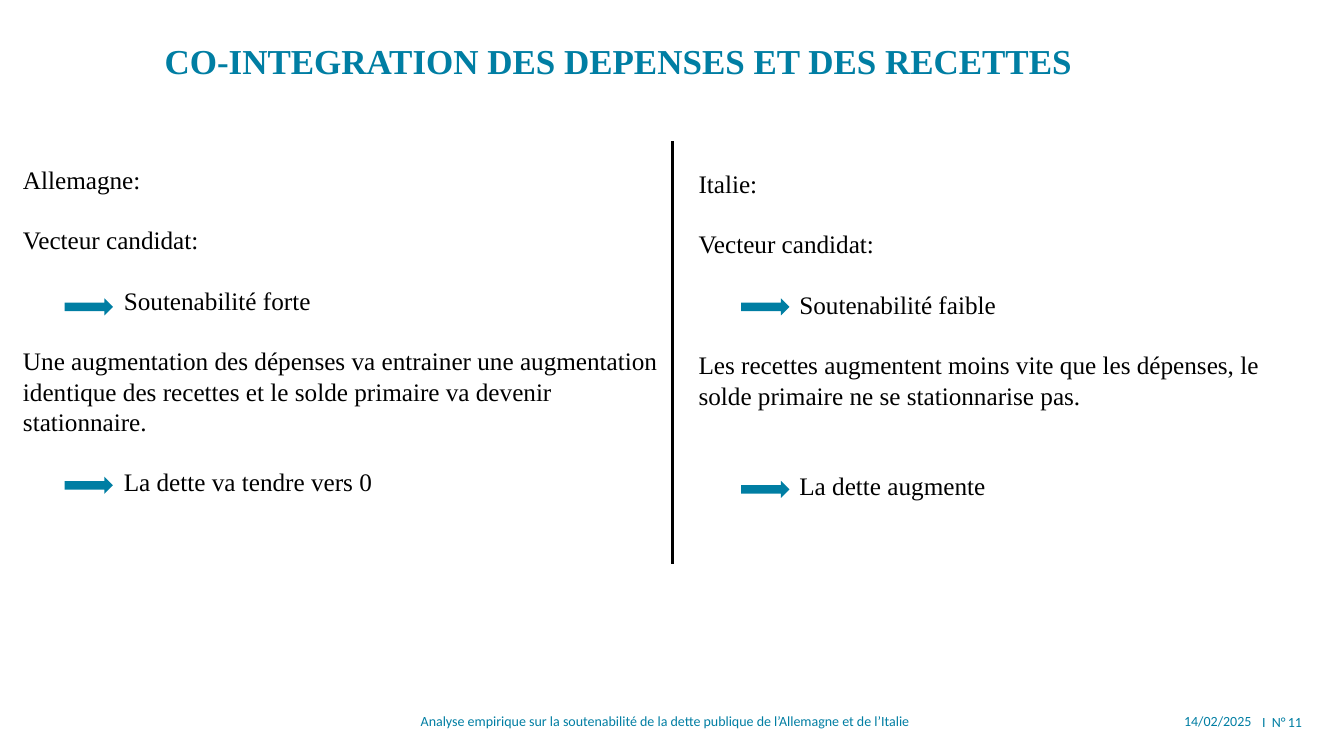
import dataclasses
import typing

import lxml.etree
import pptx
import pptx.dml.color
import pptx.enum.shapes
import pptx.enum.text
import pptx.oxml.ns
import pptx.util

Inches, Pt = pptx.util.Inches, pptx.util.Pt
RGBColor = pptx.dml.color.RGBColor
Align, Anchor = pptx.enum.text.PP_ALIGN, pptx.enum.text.MSO_ANCHOR


@dataclasses.dataclass(frozen=True)
class Theme:
    teal: RGBColor = RGBColor(0x00, 0x7E, 0xA3)
    black: RGBColor = RGBColor(0, 0, 0)
    serif: str = "Times New Roman"
    sans: str = "Calibri"
    title: Pt = Pt(25)
    body: Pt = Pt(18)
    footer: Pt = Pt(10)
    body_line: float = 21.6  # height of one empty body line, in points


THEME = Theme()
TITLE_FONT = {"name": THEME.serif, "size": THEME.title, "bold": True}
BODY_FONT = {"name": THEME.serif, "size": THEME.body}
FOOTER_FONT = {"name": THEME.sans, "size": THEME.footer}


class Box(typing.NamedTuple):
    left: float
    top: float
    width: float
    height: float


class Line(typing.NamedTuple):
    text: str
    gap: int = 1  # empty lines above
    indent: float = 0  # inches


@dataclasses.dataclass(frozen=True)
class Country:
    box: Box
    lines: list[Line]
    arrow_left: float
    arrow_tops: tuple[float, float]


@dataclasses.dataclass(frozen=True)
class FooterItem:
    text: str
    box: Box
    align: Align = Align.RIGHT
    anchor: Anchor = Anchor.MIDDLE


COUNTRIES = [
    Country(Box(0.13, 1.58, 6.54, 3.43), [
        Line("Allemagne:", 0),
        Line("Vecteur candidat:"),
        Line("Soutenabilité forte", indent=1),
        Line("Une augmentation des dépenses va entrainer une augmentation"),
        Line("identique des recettes et le solde primaire va devenir stationnaire.", 0),
        Line("La dette va tendre vers 0", indent=1),
    ], 0.64, (2.96, 4.73)),
    Country(Box(6.83, 1.62, 6.29, 3.43), [
        Line("Italie:", 0),
        Line("Vecteur candidat:"),
        Line("Soutenabilité faible", indent=1),
        Line("Les recettes augmentent moins vite que les dépenses, "
             "le solde primaire ne se stationnarise pas."),
        Line("La dette augmente", 2, indent=1),
    ], 7.35, (2.96, 4.77)),
]

FOOTER = [
    FooterItem("I  N°", Box(12.42, 7.03, 0.59, 0.27), Align.LEFT, Anchor.TOP),
    FooterItem("14/02/2025", Box(11.48, 6.95, 1.03, 0.4)),
    FooterItem("11", Box(12.42, 6.96, 0.59, 0.4)),
    FooterItem("Analyse empirique sur la soutenabilité de la dette publique "
               "de l’Allemagne et de l’Italie",
               Box(3.18, 6.95, 6.83, 0.4), Align.CENTER),
]


def add_text(slide, box: Box, lines: list[Line], font: dict, color: RGBColor,
             align: Align = Align.LEFT, anchor: Anchor = Anchor.TOP,
             spacing: float = 1.0) -> None:
    tf = slide.shapes.add_textbox(*map(Inches, box)).text_frame
    tf.word_wrap = True
    tf.vertical_anchor = anchor
    for i, line in enumerate(lines):
        p = tf.add_paragraph() if i else tf.paragraphs[0]
        layout = {"alignment": align, "line_spacing": spacing,
                  "space_before": Pt(line.gap * THEME.body_line)}
        for name, value in layout.items():
            setattr(p, name, value)
        if line.indent:
            p._p.get_or_add_pPr().set("marL", str(Inches(line.indent)))
        r = p.add_run()
        r.text = line.text
        for name, value in font.items():
            setattr(r.font, name, value)
        r.font.color.rgb = color


def add_arrow(slide, left: float, top: float) -> None:
    sp = slide.shapes.add_shape(pptx.enum.shapes.MSO_SHAPE.RIGHT_ARROW,
                                *map(Inches, (left, top, 0.48, 0.17)))
    sp.shadow.inherit = False
    sp.fill.solid()
    sp.fill.fore_color.rgb = THEME.teal
    sp.line.fill.background()


def add_divider(slide, x: float, top: float, bottom: float) -> None:
    line = slide.shapes.add_connector(pptx.enum.shapes.MSO_CONNECTOR.STRAIGHT,
                                      *map(Inches, (x, top, x, bottom)))
    line.line.color.rgb = THEME.black
    line.line.width = Pt(1.5)
    lxml.etree.SubElement(line._element.spPr, pptx.oxml.ns.qn("a:effectLst"))


def main() -> None:
    prs = pptx.Presentation()
    prs.slide_width, prs.slide_height = Inches(13.33), Inches(7.5)
    slide = prs.slides.add_slide(prs.slide_layouts[6])

    # Title
    add_text(slide, Box(0.38, 0.19, 11.5, 0.88),
             [Line("CO-INTEGRATION DES DEPENSES ET DES RECETTES", 0)],
             TITLE_FONT, THEME.teal, Align.CENTER, Anchor.MIDDLE, 0.9)

    # One column per country, with arrows before its conclusions
    for country in COUNTRIES:
        add_text(slide, country.box, country.lines, BODY_FONT, THEME.black)
        for top in country.arrow_tops:
            add_arrow(slide, country.arrow_left, top)
    add_divider(slide, 6.67, 1.4, 5.6)

    # Footer
    for item in FOOTER:
        add_text(slide, item.box, [Line(item.text, 0)], FOOTER_FONT,
                 THEME.teal, item.align, item.anchor)

    prs.save("out.pptx")


if __name__ == "__main__":
    main()
